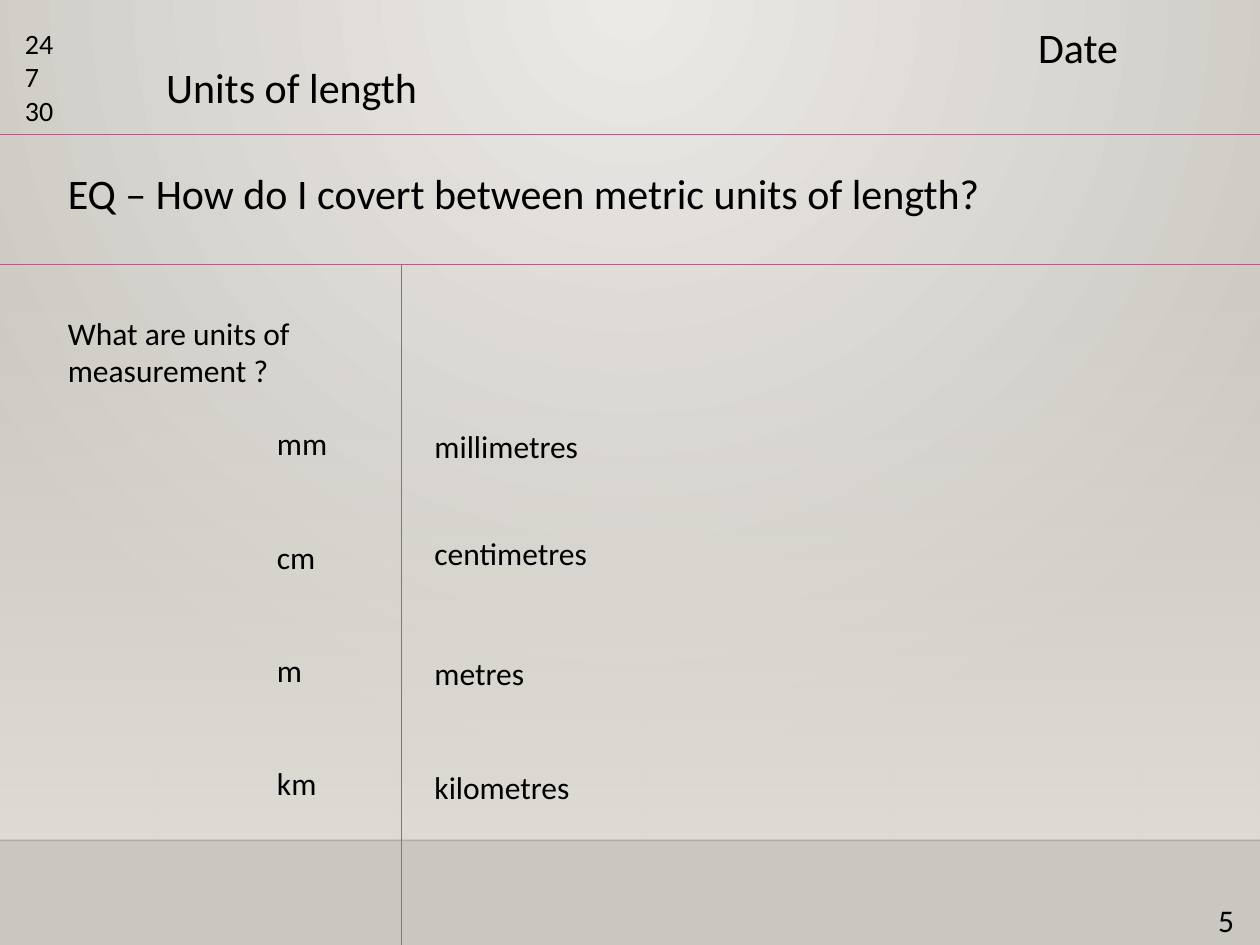
import pptx
import pptx.dml.color
import pptx.enum.shapes
import pptx.enum.text
import pptx.oxml
import pptx.oxml.ns
import pptx.util

Inches = pptx.util.Inches
PINK = "DE478E"
INK = "000000"


def color(hex_value):
    return pptx.dml.color.RGBColor.from_string(hex_value)


def element(tag, **attributes):
    node = pptx.oxml.parse_xml(f"<{tag} {pptx.oxml.ns.nsdecls('a')}/>")
    for name, value in attributes.items():
        node.set(name, str(value))
    return node


def add_alpha(fill_holder, index, percent):
    colors = fill_holder.findall(".//" + pptx.oxml.ns.qn("a:srgbClr"))
    colors[index].append(element("a:alpha", val=percent * 1000))


def set_gradient(fill, start, end):
    fill.gradient()
    for stop, position, hex_value in zip(fill.gradient_stops, (0, 1), (start, end)):
        stop.position = position
        stop.color.rgb = color(hex_value)


def add_text(slide, box, text, size=18, wrap=True, gap=0):
    frame = slide.shapes.add_textbox(*map(Inches, box)).text_frame
    frame.word_wrap = wrap
    frame.auto_size = pptx.enum.text.MSO_AUTO_SIZE.SHAPE_TO_FIT_TEXT
    frame.text = text
    for index, paragraph in enumerate(frame.paragraphs):
        paragraph.space_before = pptx.util.Pt(gap if index else 0)
        paragraph.font.name = "Calibri"
        paragraph.font.size = pptx.util.Pt(size)
        paragraph.font.color.rgb = color(INK)


def add_rule(slide, start, end, hex_value=PINK, width=0.75, opacity=100):
    rule = slide.shapes.add_connector(
        pptx.enum.shapes.MSO_CONNECTOR.STRAIGHT, *map(Inches, start + end))
    rule.line.width = pptx.util.Pt(width)
    rule.line.color.rgb = color(hex_value)
    properties = rule.line._get_or_add_ln()
    if opacity < 100:
        add_alpha(properties, 0, opacity)
    properties.addnext(element("a:effectLst"))


def add_backdrop(slide, box):
    fill = slide.background.fill
    set_gradient(fill, "ECEAE7", "CAC7C1")
    gradient = slide.background._cSld.find(".//" + pptx.oxml.ns.qn("a:gradFill"))
    gradient.remove(gradient.find(pptx.oxml.ns.qn("a:lin")))
    circle = element("a:path")
    circle.set("path", "circle")
    circle.append(element("a:fillToRect", l=43000, t=0, r=43000, b=100000))
    gradient.find(pptx.oxml.ns.qn("a:gsLst")).addnext(circle)

    left, top, width, height = box
    panel = slide.shapes.add_shape(
        pptx.enum.shapes.MSO_SHAPE.RECTANGLE, *map(Inches, box))
    panel.shadow.inherit = False
    panel.line.fill.background()
    set_gradient(panel.fill, "DFDBD5", "DFDBD5")
    panel.fill.gradient_angle = 270
    add_alpha(panel._element.spPr, 0, 0)
    floor = top + height
    add_rule(slide, (left, floor), (left + width, floor), "000001", 1, 20)


def add_header(slide, box):
    left, top, width, height = box
    bottom = top + height
    add_rule(slide, (left, bottom), (left + width, bottom))
    add_text(slide, (left + 0.1, top + 0.16, 0.63, 0.91), "24\n7\n30", size=16)
    add_text(slide, (left + 1.22, top + 0.44, 2.29, 0.5), "Units of length",
             size=24, wrap=False)
    add_text(slide, (left + 8.14, top + 0.12, 1.73, 0.5), "Date", size=24)


def add_question(slide, box):
    left, top, width, height = box
    bottom = top + height
    add_rule(slide, (left, bottom), (left + width, bottom))
    add_text(slide, (left + 0.44, top + 0.21, 7.5, 0.5),
             "EQ – How do I covert between metric units of length?",
             size=24, wrap=False)


def add_notes_area(slide, box):
    left, top, width, height = box
    divider = left + 3.19
    add_rule(slide, (divider, top), (divider, top + height), "7F7A75", 0.5)
    add_text(slide, (left + 0.44, top + 0.34, 2.19, 0.71),
             "What are units of measurement ?")
    add_text(slide, (left + 2.1, top + 1.22, 0.8, 3.13), "mm\ncm\nm\nkm", gap=43)
    unit_names = (("millimetres", 1.24), ("centimetres", 2.09),
                  ("metres", 3.04), ("kilometres", 3.95))
    for unit_name, offset in unit_names:
        add_text(slide, (divider + 0.16, top + offset, 3.74, 0.4), unit_name)
    add_text(slide, (left + width - 0.43, top + height - 0.4, 0.6, 0.4), "5")


def main():
    deck = pptx.Presentation()
    deck.slide_width, deck.slide_height = Inches(10), Inches(7.5)
    slide = deck.slides.add_slide(deck.slide_layouts[6])
    add_backdrop(slide, (0, 2.2, 10, 4.47))
    add_header(slide, (0, 0, 10, 1.07))
    add_question(slide, (0, 1.07, 10, 1.03))
    add_notes_area(slide, (0, 2.1, 10, 5.4))
    deck.save("out.pptx")


if __name__ == "__main__":
    main()
